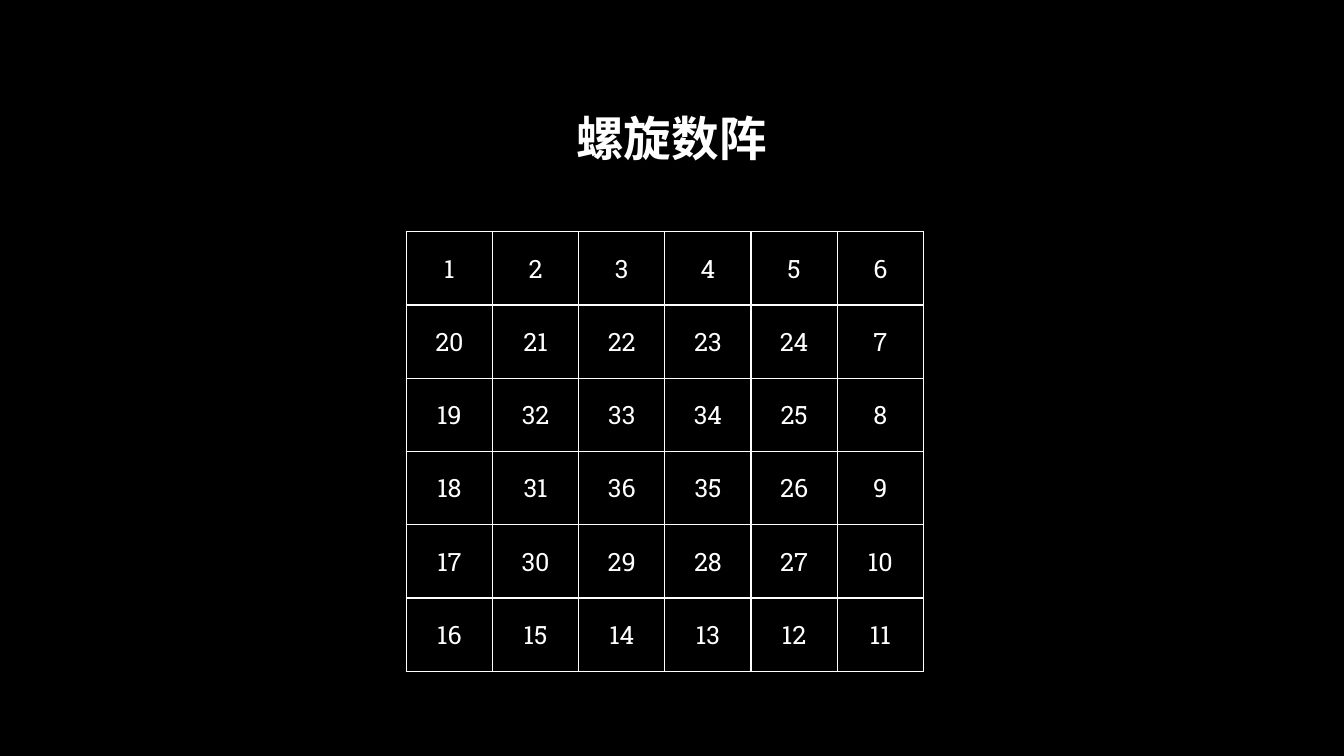
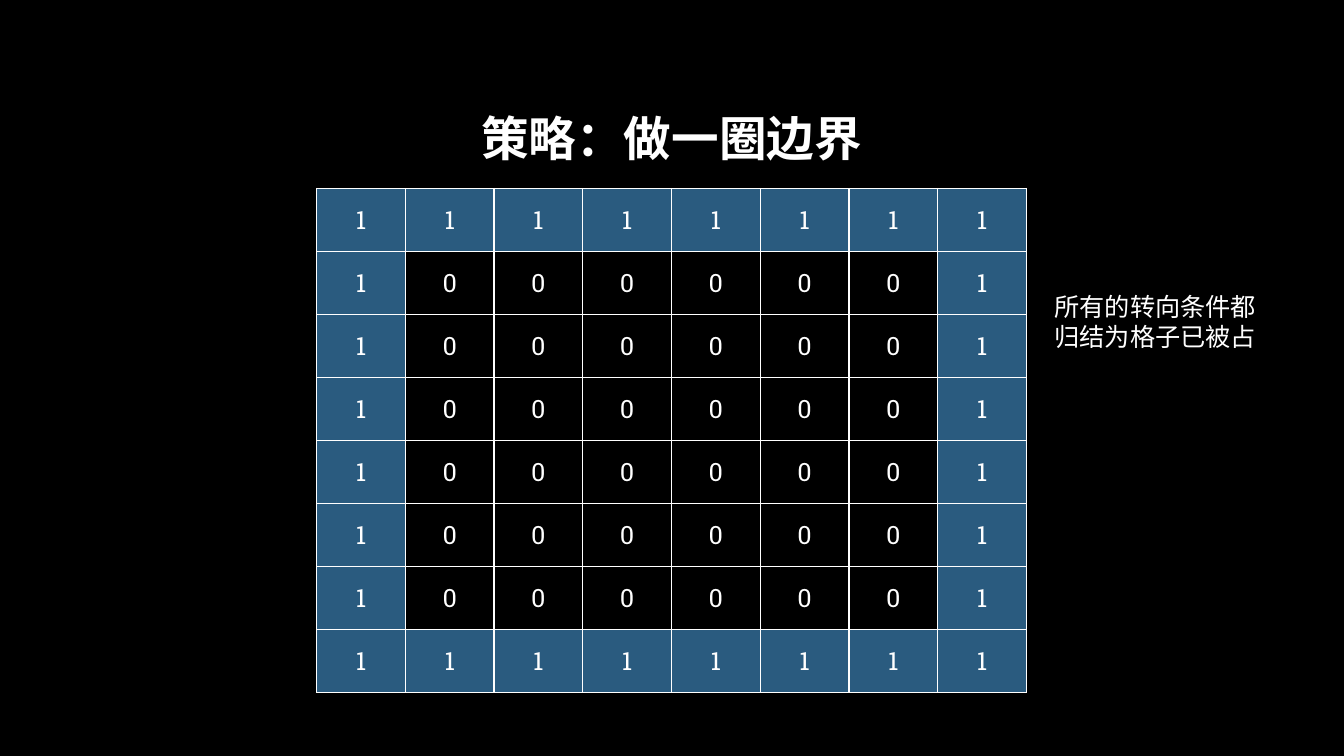
import lxml.etree
import pptx
import pptx.dml.color
import pptx.enum.lang
import pptx.enum.text
import pptx.oxml.ns
import pptx.util

Inches = pptx.util.Inches
Align = pptx.enum.text.PP_ALIGN
Anchor = pptx.enum.text.MSO_ANCHOR

BLACK = pptx.dml.color.RGBColor(0x00, 0x00, 0x00)
WHITE = pptx.dml.color.RGBColor(0xFF, 0xFF, 0xFF)
BORDER_BLUE = pptx.dml.color.RGBColor(0x2A, 0x5B, 0x7F)
FONT = "Roboto Slab"
BODY_SIZE = 18
TITLE_SIZE = 34
TITLE_BOX = (1, 0.67, 11.32, 1.45)


def add_child(parent, tag, **attributes):
    """Append a DrawingML element to its parent and return it."""
    return lxml.etree.SubElement(parent, pptx.oxml.ns.qn(tag), attributes)


def write_text(frame, text, size=BODY_SIZE, bold=False, align=Align.LEFT, line_spacing=None):
    """Write one formatted paragraph into a text frame."""
    paragraph = frame.paragraphs[0]
    paragraph.alignment = align
    if line_spacing:
        paragraph.line_spacing = line_spacing
    run = paragraph.add_run()
    run.text = text
    run.font.size = pptx.util.Pt(size)
    run.font.bold = bold
    run.font.color.rgb = WHITE
    run.font.name = FONT
    run.font.language_id = pptx.enum.lang.MSO_LANGUAGE_ID.SIMPLIFIED_CHINESE
    add_child(run.font._element, "a:ea", typeface=FONT)


def add_text_box(slide, box, text, **text_format):
    """Add a wrapped, vertically centred text box."""
    frame = slide.shapes.add_textbox(*map(Inches, box)).text_frame
    frame.word_wrap = True
    frame.vertical_anchor = Anchor.MIDDLE
    write_text(frame, text, **text_format)


def outline_cell(cell, color, width):
    """Draw a solid line on all four sides of a table cell."""
    properties = cell._tc.get_or_add_tcPr()
    for side in ("a:lnL", "a:lnR", "a:lnT", "a:lnB"):
        line = add_child(properties, side, w=str(pptx.util.Pt(width)))
        add_child(add_child(line, "a:solidFill"), "a:srgbClr", val=str(color))


def add_grid(slide, box, values, fill_for):
    """Fill a box with an evenly divided table of values."""
    left, top, width, height = map(Inches, box)
    row_count, column_count = len(values), len(values[0])
    table = slide.shapes.add_table(row_count, column_count, left, top, width, height).table
    table.first_row = False
    table.horz_banding = False
    for row_index, row in enumerate(values):
        for column_index, value in enumerate(row):
            cell = table.cell(row_index, column_index)
            outline_cell(cell, WHITE, 1)
            cell.fill.solid()
            cell.fill.fore_color.rgb = fill_for(value)
            cell.vertical_anchor = Anchor.MIDDLE
            write_text(cell.text_frame, str(value), align=Align.CENTER)


def spiral_matrix(size):
    """Number a square clockwise from its top left corner to its centre."""
    matrix = [[0] * size for _ in range(size)]
    row, column, row_step, column_step = 0, 0, 0, 1
    for number in range(1, size * size + 1):
        matrix[row][column] = number
        next_row, next_column = row + row_step, column + column_step
        inside = 0 <= next_row < size and 0 <= next_column < size
        if not inside or matrix[next_row][next_column]:
            row_step, column_step = column_step, -row_step
        row, column = row + row_step, column + column_step
    return matrix


def bordered_matrix(size):
    """Return a square of zeros whose outer ring is made of ones."""
    edges = (0, size - 1)
    return [[int(row in edges or column in edges) for column in range(size)]
            for row in range(size)]


def add_titled_slide(presentation, title):
    """Add a blank slide with the shared title."""
    slide = presentation.slides.add_slide(presentation.slide_layouts[6])
    add_text_box(slide, TITLE_BOX, title, size=TITLE_SIZE, bold=True,
                 align=Align.CENTER, line_spacing=0.9)
    return slide


def add_spiral_slide(presentation):
    """Show the numbered spiral."""
    slide = add_titled_slide(presentation, "螺旋数阵")
    add_grid(slide, (4.03, 2.3, 5.13, 4.36), spiral_matrix(6), lambda value: BLACK)


def add_border_slide(presentation):
    """Show the empty grid inside its occupied border."""
    slide = add_titled_slide(presentation, "策略：做一圈边界")
    add_grid(slide, (3.14, 1.87, 7.04, 5), bordered_matrix(8),
             lambda value: BORDER_BLUE if value else BLACK)
    add_text_box(slide, (10.36, 2.79, 2.44, 0.79), "所有的转向条件都归结为格子已被占")


def main():
    """Build and save the presentation."""
    presentation = pptx.Presentation()
    presentation.slide_width = Inches(13.33)
    presentation.slide_height = Inches(7.5)
    background = presentation.slide_master.background.fill
    background.solid()
    background.fore_color.rgb = BLACK
    add_spiral_slide(presentation)
    add_border_slide(presentation)
    presentation.save("out.pptx")


if __name__ == "__main__":
    main()
